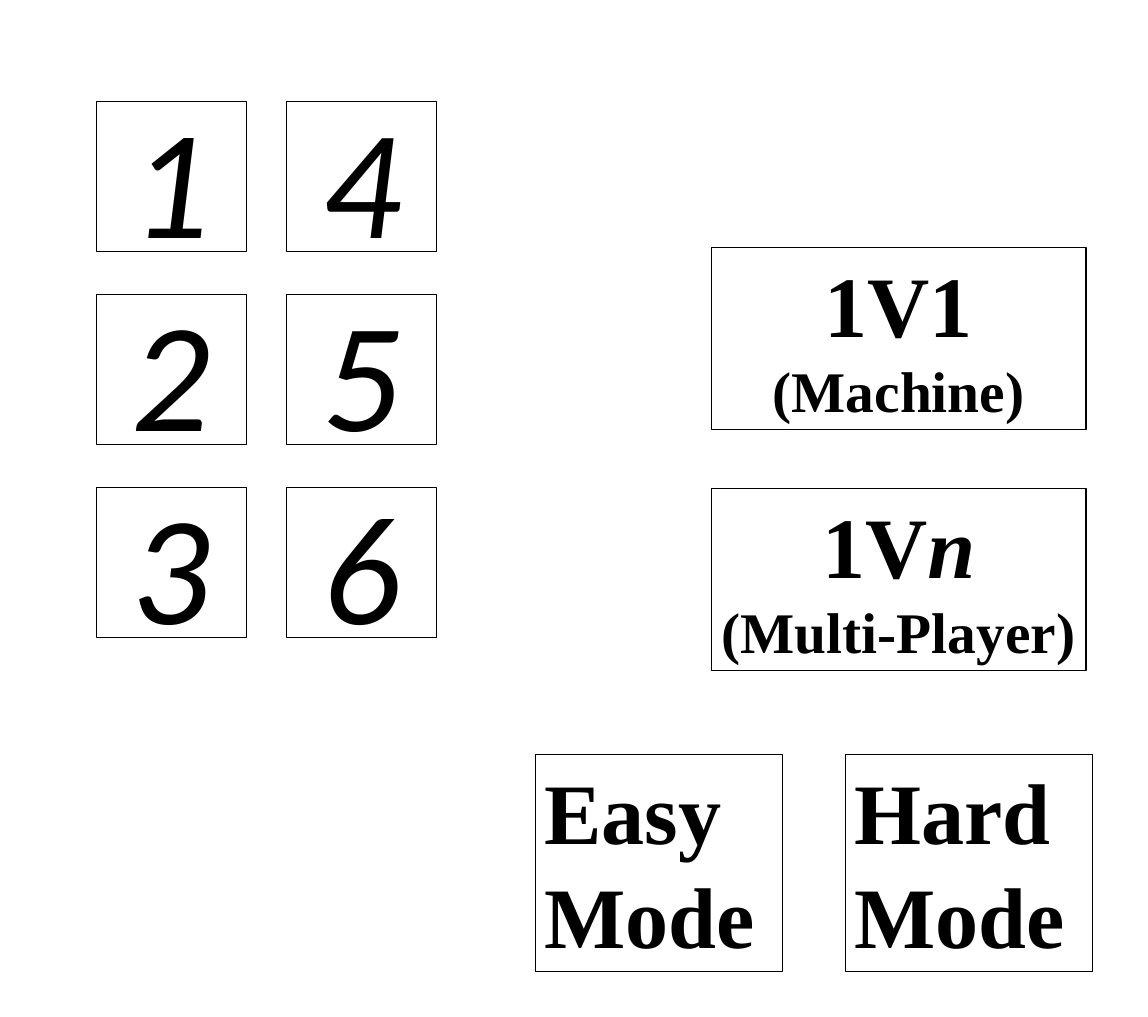
from dataclasses import dataclass

from pptx import Presentation
from pptx.dml.color import RGBColor
from pptx.enum.shapes import MSO_SHAPE as Preset
from pptx.enum.text import MSO_ANCHOR as Anchor, MSO_AUTO_SIZE as AutoSize, PP_ALIGN as Align
from pptx.util import Inches, Pt

COLORS = {"paper": "FFFFFF", "ink": "000000"}
SERIF, SANS = "Times New Roman", "Calibri"


@dataclass(frozen=True)
class Label:
    """A run of text and its style."""
    text: str
    size: int
    font: str = SERIF
    bold: bool = True
    italic: bool = False


@dataclass(frozen=True)
class Box:
    """An outlined box; each entry of lines is one paragraph of runs."""
    left: float
    top: float
    width: float
    height: float
    lines: tuple[tuple[Label, ...], ...]
    align: Align = Align.CENTER
    anchor: Anchor = Anchor.TOP
    fill: str | None = "paper"
    auto_size: AutoSize = AutoSize.SHAPE_TO_FIT_TEXT


def color(name: str) -> RGBColor:
    """Look up a named colour."""
    return RGBColor.from_string(COLORS[name])


def draw_box(slide, box: Box) -> None:
    """Draw a box with its text on the slide."""
    shape = slide.shapes.add_shape(
        Preset.RECTANGLE, Inches(box.left), Inches(box.top), Inches(box.width), Inches(box.height))
    shape.shadow.inherit = False
    shape.line.color.rgb = color("ink")
    shape.line.width = Pt(1)
    if box.fill:
        shape.fill.solid()
        shape.fill.fore_color.rgb = color(box.fill)
    else:
        shape.fill.background()
    frame = shape.text_frame
    frame.word_wrap = True
    frame.auto_size = box.auto_size
    frame.vertical_anchor = box.anchor
    for index, labels in enumerate(box.lines):
        paragraph = frame.add_paragraph() if index else frame.paragraphs[0]
        paragraph.alignment = box.align
        for label in labels:
            run = paragraph.add_run()
            run.text = label.text
            font = run.font
            font.name, font.size = label.font, Pt(label.size)
            font.bold, font.italic = label.bold, label.italic
            font.color.rgb = color("ink")


def mode_box(left: float, name: str) -> Box:
    """Make a difficulty box."""
    return Box(left, 8.76, 2.87, 2.52, ((Label(name, 72),),), align=Align.LEFT)


def versus_box(top: float, title: tuple[Label, ...], subtitle: str) -> Box:
    """Make a box for one type of match."""
    return Box(8.26, top, 4.35, 2.12, (title, (Label(subtitle, 48),)))


def digit_tile(index: int) -> Box:
    """Make a numbered tile; the grid fills column by column."""
    column, row = divmod(index, 3)
    digit = Label(str(index + 1), 130, SANS, bold=False, italic=True)
    return Box(1.12 + 2.21 * column, 1.18 + 2.24 * row, 1.74, 1.74, ((digit,),),
               anchor=Anchor.MIDDLE, fill=None, auto_size=AutoSize.NONE)


presentation = Presentation()
presentation.slide_width = Inches(13.33)
presentation.slide_height = Inches(11.81)
slide = presentation.slides.add_slide(presentation.slide_layouts[6])
slide.background.fill.solid()
slide.background.fill.fore_color.rgb = color("paper")

boxes = [
    mode_box(9.82, "Hard Mode"),
    mode_box(6.22, "Easy Mode"),
    versus_box(5.67, (Label("1V", 72), Label("n", 72, italic=True)), "(Multi-Player)"),
    versus_box(2.87, (Label("1V1", 72),), "(Machine)"),
    *(digit_tile(index) for index in range(6)),
]
for box in boxes:
    draw_box(slide, box)

presentation.save("out.pptx")
